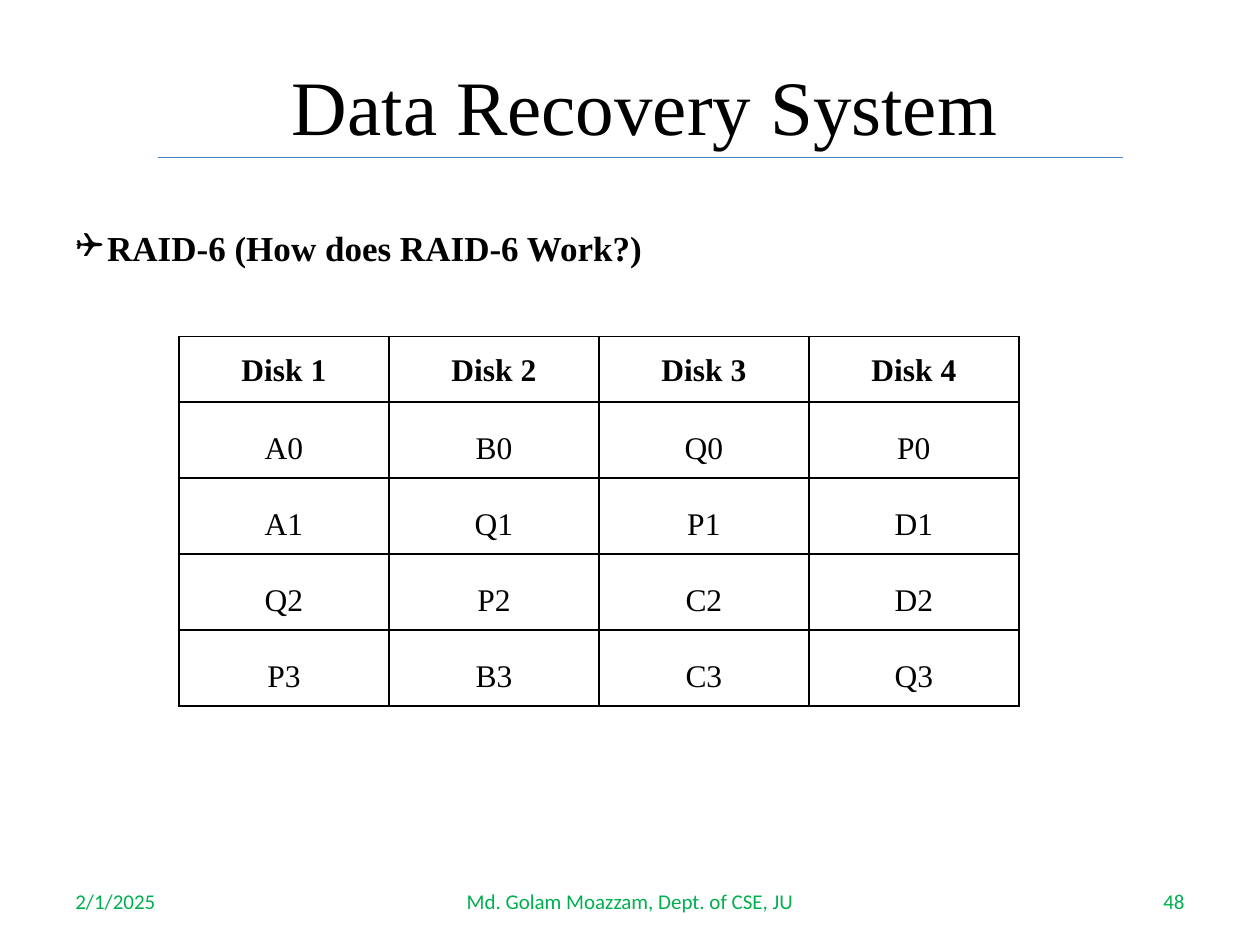
from lxml import etree
from pptx import Presentation
from pptx import util as u
from pptx.dml.color import RGBColor
from pptx.enum import shapes, text
from pptx.oxml.ns import qn

W, H = 10, 7.5
SERIF, SANS = "Times New Roman", "Calibri"
BLACK, WHITE, GREEN, BLUE = "000000", "FFFFFF", "00B050", "4B7EBC"
LEFT, MID, RIGHT = text.PP_ALIGN.LEFT, text.PP_ALIGN.CENTER, text.PP_ALIGN.RIGHT
DISKS = [
    "Disk 1|Disk 2|Disk 3|Disk 4",
    "A0|B0|Q0|P0",
    "A1|Q1|P1|D1",
    "Q2|P2|C2|D2",
    "P3|B3|C3|Q3",
]


def tint(code):
    return RGBColor.from_string(code)


def area(box):
    return [u.Inches(n) for n in box]


def place(shape, box):
    shape.left, shape.top, shape.width, shape.height = area(box)


def write(frame, words, size, align, face=SERIF, color=BLACK, bold=False):
    frame.text = words
    para = frame.paragraphs[0]
    para.alignment = align
    font = para.runs[0].font
    font.name, font.size, font.bold = face, u.Pt(size), bold
    font.color.rgb = tint(color)
    return para


# Title with the rule along its lower edge
def head(slide, box, words):
    title = slide.shapes.title
    place(title, box)
    frame = title.text_frame
    frame.auto_size = text.MSO_AUTO_SIZE.NONE
    frame.vertical_anchor = text.MSO_ANCHOR.BOTTOM
    write(frame, words, 44, MID)
    x, y, w, h = box
    ends = area((x - 0.08, y + h, x + w, y + h))
    rule = slide.shapes.add_connector(shapes.MSO_CONNECTOR.STRAIGHT, *ends)
    rule.line.color.rgb = tint(BLUE)
    rule.line.width = u.Pt(0.75)
    etree.SubElement(rule._element.spPr, qn("a:effectLst"))


# Bulleted topic
def topic(slide, box, words):
    body = slide.placeholders[1]
    place(body, box)
    frame = body.text_frame
    frame.auto_size = text.MSO_AUTO_SIZE.NONE
    para = write(frame, words, 20, text.PP_ALIGN.JUSTIFY, bold=True)
    para.space_before = u.Pt(0)
    props = para._p.get_or_add_pPr()
    dent = u.Inches(0.25)
    props.set("marL", str(dent))
    props.set("indent", str(-dent))
    etree.SubElement(props, qn("a:buFont"), typeface="Wingdings")
    etree.SubElement(props, qn("a:buChar"), char="❑")


def frame_cell(cell):
    props = cell._tc.get_or_add_tcPr()
    for n, side in enumerate(("lnL", "lnR", "lnT", "lnB")):
        line = etree.Element(qn("a:" + side), w=str(u.Pt(1)))
        fill = etree.SubElement(line, qn("a:solidFill"))
        etree.SubElement(fill, qn("a:srgbClr"), val=BLACK)
        props.insert(n, line)


# Disk layout table: a header and equal data rows
def grid(slide, box, rows):
    cols = rows[0].count("|") + 1
    table = slide.shapes.add_table(len(rows), cols, *area(box)).table
    table.horz_banding = False
    for r, row in enumerate(rows):
        top = r == 0
        table.rows[r].height = u.Inches(0.5 if top else 0.58)
        pad = u.Pt(7.2 if top else 5.5)
        for c, words in enumerate(row.split("|")):
            cell = table.cell(r, c)
            cell.fill.solid()
            cell.fill.fore_color.rgb = tint(WHITE)
            cell.vertical_anchor = text.MSO_ANCHOR.MIDDLE
            cell.margin_left = cell.margin_right = pad
            cell.margin_top = cell.margin_bottom = pad
            para = write(cell.text_frame, words, 18, MID, bold=top)
            para.line_spacing = 1.07 if top else 1.5
            frame_cell(cell)


# Footer: date, author and slide number
def foot(slide, box, parts):
    x, y, w, h = box
    side, core = w * 0.26, w * 0.35
    spots = [(x, side, LEFT), (x + (w - core) / 2, core, MID),
             (x + w - side, side, RIGHT)]
    for words, (left, wide, align) in zip(parts, spots):
        frame = slide.shapes.add_textbox(*area((left, y, wide, h))).text_frame
        frame.word_wrap = True
        frame.vertical_anchor = text.MSO_ANCHOR.MIDDLE
        write(frame, words, 12, align, SANS, GREEN)


def main():
    deck = Presentation()
    deck.slide_width, deck.slide_height = u.Inches(W), u.Inches(H)
    slide = deck.slides.add_slide(deck.slide_layouts[1])
    edge = W * 0.05
    wide = W - 2 * edge
    topic(slide, (edge, 1.75, wide, 4.58), "RAID-6 (How does RAID-6 Work?)")
    foot(slide, (edge, 6.95, wide, 0.4),
         ["2/1/2025", "Md. Golam Moazzam, Dept. of CSE, JU", "48"])
    head(slide, (1.33, 0.38, 7.58, 0.87), "Data Recovery System")
    grid(slide, (1.42, 2.67, W * 2 / 3, 2.82), DISKS)
    deck.save("out.pptx")


if __name__ == "__main__":
    main()
